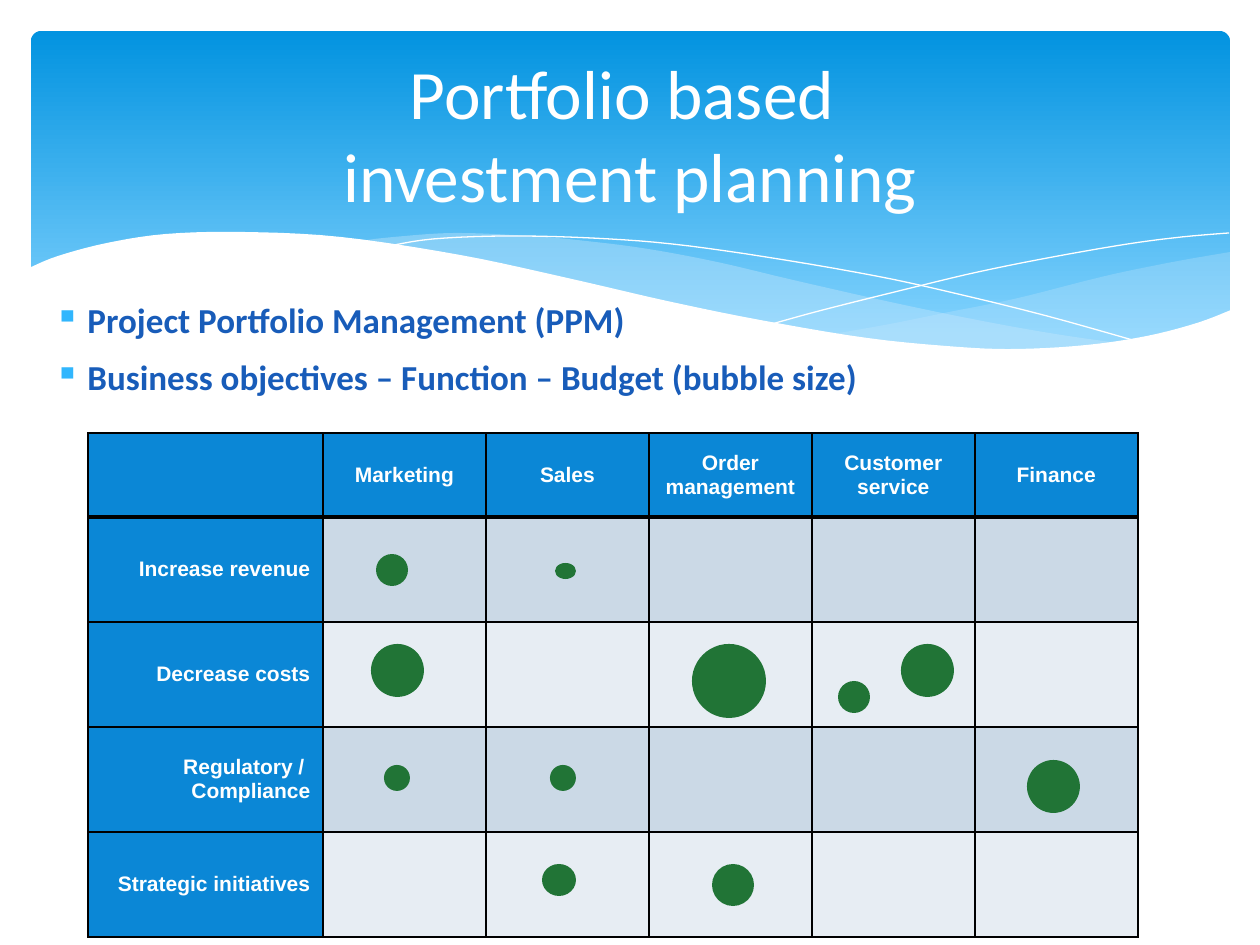
from lxml.etree import SubElement
from pptx import Presentation
from pptx.dml.color import RGBColor
from pptx.enum.shapes import MSO_SHAPE as Shape
from pptx.enum.text import MSO_ANCHOR as Anchor, PP_ALIGN as Align
from pptx.oxml.ns import qn
from pptx.util import Pt

PX = 914400 / 126

COLORS = {
    "white": "FFFFFF", "black": "000000",
    "band_top": "0293E0", "band_bottom": "83D3FE", "wave": "C6E7FC",
    "bullet": "31B6FD", "bullet_text": "185CB9",
    "header": "0B87D6", "odd_row": "CBD9E6", "even_row": "E7EDF3",
    "bubble": "217436",
}

# Wave outlines, in px from the corner of the band
RIGHT_TOP = [(1199, 221), (1147, 230), (1092, 241), (1054, 250), (983, 268),
             (918, 281), (859, 293), (802, 303)]
RIGHT_BOTTOM = [(802, 303), (857, 310), (908, 316), (967, 318), (1021, 318),
                (1079, 313), (1129, 303), (1165, 293), (1199, 280)]
MIDDLE_TOP = [(1094, 313), (1024, 303), (946, 289), (859, 271), (762, 249),
              (686, 231), (617, 218), (555, 210), (498, 205), (424, 202),
              (363, 206), (329, 210)]
MIDDLE_BOTTOM = [(329, 210), (400, 220), (478, 235), (535, 249), (637, 271),
                 (726, 290), (807, 304), (879, 314), (958, 319), (1025, 319),
                 (1094, 313)]
FALLING_LINE = [(358, 215), (402, 208), (474, 205), (560, 207), (641, 213),
                (735, 226), (845, 245), (927, 263), (1016, 285), (1112, 312)]
RISING_LINE = [(741, 293), (792, 279), (876, 258), (947, 241), (1022, 226),
               (1097, 213), (1151, 206), (1198, 202)]
FRONT_TOP = [(-2, 237), (27, 225), (76, 212), (135, 203), (212, 201),
             (310, 206), (429, 224), (532, 246), (636, 270), (729, 289),
             (836, 307), (928, 316), (988, 318), (1056, 314), (1116, 305),
             (1166, 292), (1200, 279)]
FRONT_BASE = [(1200, 384), (-2, 384)]

FUNCTIONS = ["Marketing", "Sales", "Order management", "Customer service", "Finance"]
OBJECTIVES = ["Increase revenue", "Decrease costs", "Regulatory / \vCompliance",
              "Strategic initiatives"]
# Left, top, width and height, in px from the corner of the matrix
BUBBLES = [
    (604, 211, 74, 74), (288, 121, 32, 32), (467, 130, 21, 16),
    (283, 211, 53, 53), (296, 332, 26, 26), (462, 332, 26, 26),
    (454, 431, 34, 32), (624, 431, 42, 42), (939, 327, 53, 53),
    (813, 211, 53, 53), (750, 248, 32, 32),
]


def emu(*lengths):
    return [round(length * PX) for length in lengths]


def color(name):
    return RGBColor.from_string(COLORS[name])


def set_font(font, color_name, **values):
    font.color.rgb = color(color_name)
    for name, value in values.items():
        setattr(font, name, value)


def smooth(points, steps=5):
    """Return a Catmull-Rom curve through the points."""
    ends = [points[0], *points, points[-1]]
    curve = [points[0]]
    for before, start, end, after in zip(ends, ends[1:], ends[2:], ends[3:]):
        for step in range(1, steps + 1):
            t = step / steps
            curve.append(tuple(
                (2 * b + (c - a) * t + (2 * a - 5 * b + 4 * c - d) * t ** 2
                 + (3 * b - a - 3 * c + d) * t ** 3) / 2
                for a, b, c, d in zip(before, start, end, after)))
    return curve


def add_outline(page, box, points, close):
    corners = [emu(box[0] + x, box[1] + y) for x, y in points]
    builder = page.shapes.build_freeform(*corners[0], scale=1.0)
    builder.add_line_segments(corners[1:], close=close)
    outline = builder.convert_to_shape()
    outline.shadow.inherit = False
    return outline


def add_wave(page, box, points, color_name, opacity=100):
    wave = add_outline(page, box, points, True)
    wave.fill.solid()
    wave.fill.fore_color.rgb = color(color_name)
    wave.line.fill.background()
    if opacity < 100:
        hue = wave.fill._xPr.find(qn("a:solidFill"))[0]
        SubElement(hue, qn("a:alpha"), val=str(opacity * 1000))


def add_wave_line(page, box, points):
    line = add_outline(page, box, smooth(points), False)
    line.fill.background()
    line.line.color.rgb = color("white")
    line.line.width = Pt(0)


def add_band(page, box):
    band = page.shapes.add_shape(Shape.ROUNDED_RECTANGLE, *emu(*box))
    band.adjustments[0] = 0.03
    band.shadow.inherit = False
    band.line.fill.background()
    band.fill.gradient()
    band.fill.gradient_angle = 270
    stops = zip(band.fill.gradient_stops, (0, 0.9), ("band_top", "band_bottom"))
    for stop, position, name in stops:
        stop.position = position
        stop.color.rgb = color(name)

    add_wave(page, box, smooth(RIGHT_TOP) + smooth(RIGHT_BOTTOM), "wave", 29)
    add_wave(page, box, smooth(MIDDLE_TOP) + smooth(MIDDLE_BOTTOM), "wave", 40)
    for points in (FALLING_LINE, RISING_LINE):
        add_wave_line(page, box, points)
    add_wave(page, box, smooth(FRONT_TOP) + FRONT_BASE, "white")


def add_text_frame(page, box):
    frame = page.shapes.add_textbox(*emu(*box)).text_frame
    frame.word_wrap = True
    return frame


def add_title(page, box):
    frame = add_text_frame(page, box)
    frame.vertical_anchor = Anchor.MIDDLE
    para = frame.paragraphs[0]
    para.text = "Portfolio based \vinvestment planning"
    para.alignment = Align.CENTER
    for span in para.runs:
        set_font(span.font, "white", name="Calibri", size=Pt(39.6))


def add_bullets(page, box, lines):
    frame = add_text_frame(page, box)
    for index, line in enumerate(lines):
        para = frame.paragraphs[0] if index == 0 else frame.add_paragraph()
        para.line_spacing = 0.95
        if index:
            para.space_before = Pt(10)
        props = para._p.get_or_add_pPr()
        indent = emu(33)[0]
        props.set("marL", str(indent))
        props.set("indent", str(-indent))
        hue = SubElement(props, qn("a:buClr"))
        SubElement(hue, qn("a:srgbClr"), val=COLORS["bullet"])
        SubElement(props, qn("a:buChar"), char="▪")
        span = para.add_run()
        span.text = line
        set_font(span.font, "bullet_text", name="Calibri", size=Pt(20), bold=True)


def set_borders(cell, **points):
    props = cell._tc.get_or_add_tcPr()
    for side in "LRTB":
        border = SubElement(props, qn(f"a:ln{side}"), w=str(Pt(points.get(side, 1))))
        fill = SubElement(border, qn("a:solidFill"))
        SubElement(fill, qn("a:srgbClr"), val=COLORS["black"])


def add_matrix(page, box):
    rows = [["", *FUNCTIONS]] + [[name] + [""] * len(FUNCTIONS) for name in OBJECTIVES]
    table = page.shapes.add_table(len(rows), len(rows[0]), *emu(*box)).table
    table.first_row = table.horz_banding = False
    for index, column in enumerate(table.columns):
        column.width = emu(163 if index else 235)[0]
    for index, row in enumerate(table.rows):
        row.height = emu(105 if index else 84)[0]

    for r, texts in enumerate(rows):
        for c, text in enumerate(texts):
            cell = table.cell(r, c)
            set_borders(cell, **{0: {"B": 3}, 1: {"T": 3}}.get(r, {}))
            is_header = r == 0 or c == 0
            cell.fill.solid()
            cell.fill.fore_color.rgb = color(
                "header" if is_header else "odd_row" if r % 2 else "even_row")
            cell.vertical_anchor = Anchor.MIDDLE
            if text:
                cell.text = text
                para = cell.text_frame.paragraphs[0]
                para.alignment = Align.RIGHT if r else Align.CENTER
                for span in para.runs:
                    set_font(span.font, "white", name="Arial", size=Pt(12), bold=True)

    for x, y, width, height in BUBBLES:
        bubble = page.shapes.add_shape(
            Shape.OVAL, *emu(box[0] + x, box[1] + y, width, height))
        bubble.shadow.inherit = False
        bubble.fill.solid()
        bubble.fill.fore_color.rgb = color("bubble")
        bubble.line.fill.background()


def main():
    deck = Presentation()
    deck.slide_width, deck.slide_height = emu(1260, 945)
    page = deck.slides.add_slide(deck.slide_layouts[6])
    add_band(page, (31, 31, 1199, 340))
    add_title(page, (63, 47, 1134, 173))
    add_bullets(page, (42, 295, 1113, 118), [
        "Project Portfolio Management (PPM)",
        "Business objectives – Function – Budget (bubble size)",
    ])
    add_matrix(page, (88, 433, 1050, 504))
    deck.save("out.pptx")


if __name__ == "__main__":
    main()
